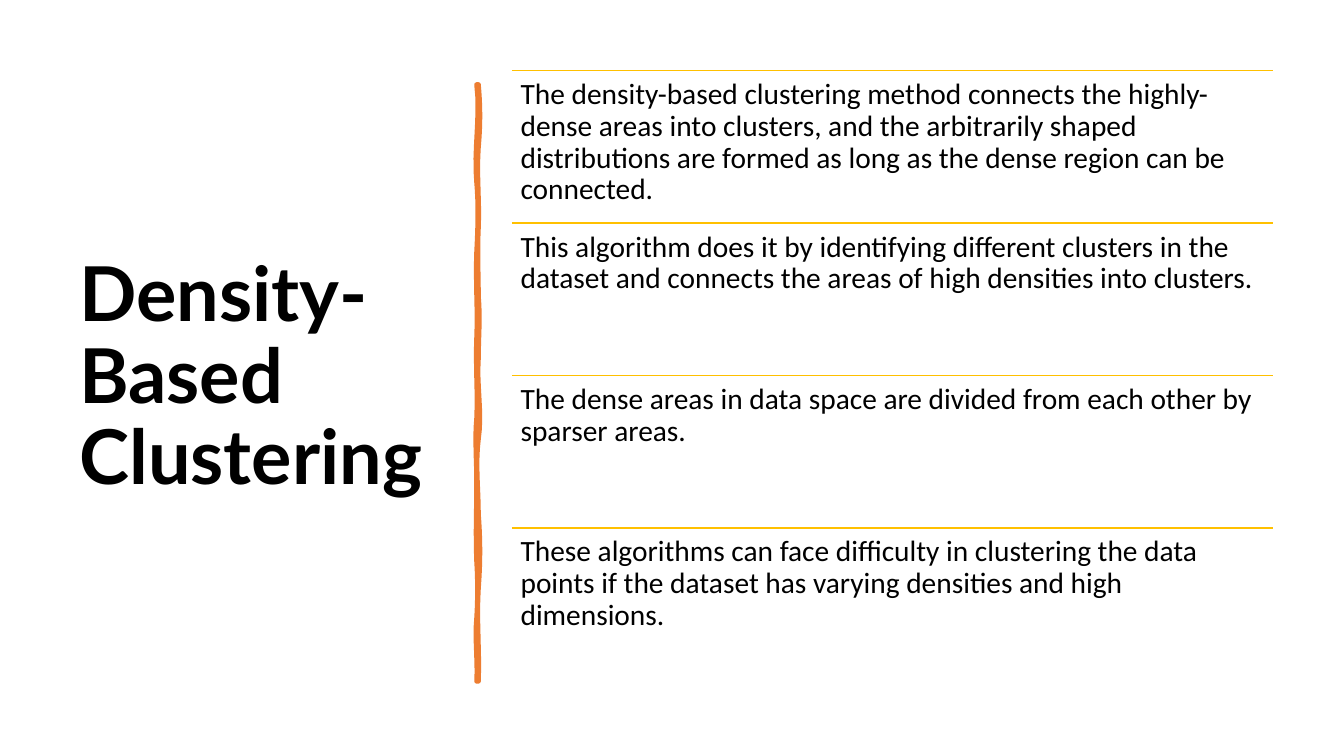
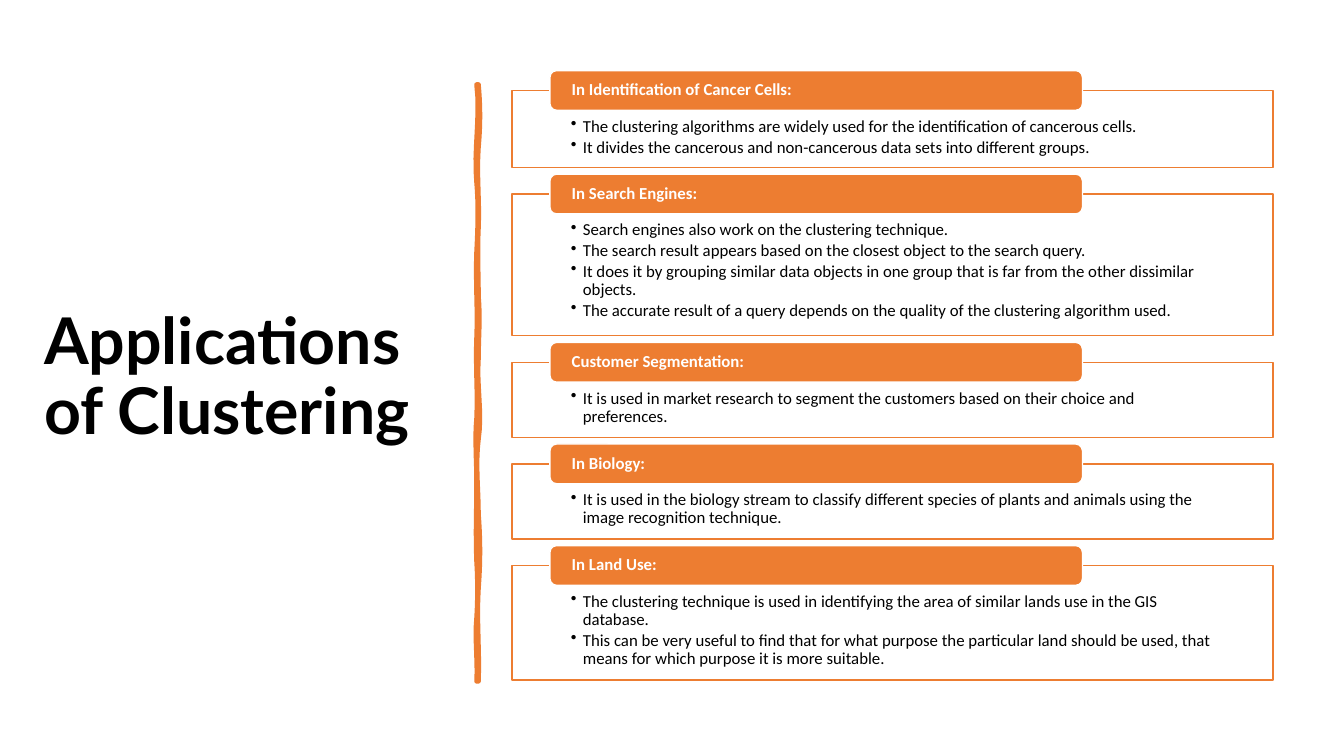
"""Build two slides on density-based clustering and the uses of clustering."""
import pptx
import pptx.dml.color
import pptx.enum.shapes
import pptx.enum.text
import pptx.oxml
import pptx.oxml.ns
import pptx.util
from lxml import etree

Cm, Pt = pptx.util.Cm, pptx.util.Pt
SHAPES = pptx.enum.shapes.MSO_SHAPE
ANCHORS = pptx.enum.text.MSO_ANCHOR

DENSITY_TITLE = "Density-Based Clustering"
DENSITY_POINTS = [
    "The density-based clustering method connects the highly-dense areas into clusters, and the "
    "arbitrarily shaped distributions are formed as long as the dense region can be connected.",
    "This algorithm does it by identifying different clusters in the dataset and connects the "
    "areas of high densities into clusters.",
    "The dense areas in data space are divided from each other by sparser areas.",
    "These algorithms can face difficulty in clustering the data points if the dataset has "
    "varying densities and high dimensions.",
]

USES_TITLE = "Applications of Clustering"
USES = [
    ("In Identification of Cancer Cells:", 1.94, [
        "The clustering algorithms are widely used for the identification of cancerous cells.",
        "It divides the cancerous and non-cancerous data sets into different groups.",
    ]),
    ("In Search Engines:", 3.57, [
        "Search engines also work on the clustering technique.",
        "The search result appears based on the closest object to the search query.",
        "It does it by grouping similar data objects in one group that is far from the other "
        "dissimilar objects.",
        "The accurate result of a query depends on the quality of the clustering algorithm used.",
    ]),
    ("Customer Segmentation:", 1.89, [
        "It is used in market research to segment the customers based on their choice and "
        "preferences.",
    ]),
    ("In Biology:", 1.89, [
        "It is used in the biology stream to classify different species of plants and animals "
        "using the image recognition technique.",
    ]),
    ("In Land Use:", 2.89, [
        "The clustering technique is used in identifying the area of similar lands use in the "
        "GIS database.",
        "This can be very useful to find that for what purpose the particular land should be "
        "used, that means for which purpose it is more suitable.",
    ]),
]

COLORS = {"text": "000000", "paper": "FFFFFF", "accent": "ED7D31", "rule": "FFC000"}
TITLE_FONT, BODY_FONT = "Lato", "Calibri"

TOP, HEIGHT = 1.78, 15.52
TITLE_RIGHT = 11.25
BODY_LEFT, BODY_WIDTH = 12.9, 19.18
ROW_HEIGHT = 3.84
CARD_TOP, CARD_GAP = 2.28, 0.67
TAB_INDENT, TAB_WIDTH, TAB_HEIGHT = 0.96, 13.42, 1.0
BULLET_INDENT = 0.3

BRUSH_TOP, BRUSH_BOTTOM = 2.13, 17.17
BRUSH_RIGHT, BRUSH_LEFT = 12.06, 12.01
RIGHT_WAVES = [(3.71, 0.05, 0.05), (5.74, -0.05, 0.03), (7.47, -0.03, 0), (9.04, 0.05, 0),
               (11.07, -0.05, 0.1), (12.95, -0.08, 0), (14.83, 0.05, 0.05),
               (BRUSH_BOTTOM, -0.05, 0.03)]
LEFT_WAVES = [(15.57, 0.03, -0.05), (14.15, 0.03, 0.03), (12.12, -0.03, 0), (10.54, 0, -0.05),
              (8.51, 0.03, -0.03), (6.35, 0.03, -0.03), (4.6, 0.03, 0.05),
              (BRUSH_TOP, -0.08, 0.1)]


def color(name):
    return pptx.dml.color.RGBColor.from_string(COLORS[name])


def write(shape, texts, size, font=BODY_FONT, ink="text", bold=False, after=0, bullet=False,
          anchor=ANCHORS.TOP, insets=(0.25, 0.13, 0.25, 0.13)):
    frame = shape.text_frame
    frame.word_wrap = True
    frame.vertical_anchor = anchor
    frame.margin_left, frame.margin_top, frame.margin_right, frame.margin_bottom = map(Cm, insets)
    for index, text in enumerate(texts):
        para = frame.add_paragraph() if index else frame.paragraphs[0]
        para.alignment = pptx.enum.text.PP_ALIGN.LEFT
        para.line_spacing = 0.9
        para.space_after = Pt(after)
        if bullet:
            properties = para._p.get_or_add_pPr()
            properties.set("marL", str(Cm(BULLET_INDENT)))
            properties.set("indent", str(-Cm(BULLET_INDENT)))
            etree.SubElement(properties, pptx.oxml.ns.qn("a:buChar")).set("char", "•")
        span = para.add_run()
        span.text = text
        span.font.name, span.font.size, span.font.bold = font, Pt(size), bold
        span.font.color.rgb = color(ink)


def paint(shape, fill, line, width):
    shape.shadow.inherit = False
    shape.fill.solid()
    shape.fill.fore_color.rgb = color(fill)
    shape.line.color.rgb = color(line)
    shape.line.width = Pt(width)


def add_block(page, kind, left, top, width, height, fill, line):
    shape = page.shapes.add_shape(kind, Cm(left), Cm(top), Cm(width), Cm(height))
    paint(shape, fill, line, 1)
    return shape


def add_box(page, left, top, width, height):
    return page.shapes.add_textbox(Cm(left), Cm(top), Cm(width), Cm(height))


def trace(edge, start, waves, steps=8):
    points = []
    for end, first, second in waves:
        for step in range(1, steps + 1):
            part = step / steps
            sway = 3 * part * (1 - part) * ((1 - part) * first + part * second)
            points.append((Cm(edge + sway), Cm(start + part * (end - start))))
        start = end
    return points


def add_brush(page):
    builder = page.shapes.build_freeform(Cm(BRUSH_RIGHT), Cm(BRUSH_TOP))
    builder.add_line_segments(trace(BRUSH_RIGHT, BRUSH_TOP, RIGHT_WAVES)
                              + [(Cm(BRUSH_LEFT), Cm(BRUSH_BOTTOM))]
                              + trace(BRUSH_LEFT, BRUSH_BOTTOM, LEFT_WAVES))
    brush = builder.convert_to_shape()
    paint(brush, "accent", "accent", 3.25)
    etree.SubElement(brush.line._get_or_add_ln(), pptx.oxml.ns.qn("a:round"))


def add_page(deck, title, left, size):
    page = deck.slides.add_slide(deck.slide_layouts[6])
    write(add_box(page, left, TOP, TITLE_RIGHT - left, HEIGHT), [title], size,
          font=TITLE_FONT, bold=True, anchor=ANCHORS.MIDDLE)
    add_brush(page)
    return page


def add_rule(page, top):
    rule = page.shapes.add_connector(pptx.enum.shapes.MSO_CONNECTOR.STRAIGHT, Cm(BODY_LEFT),
                                     Cm(top), Cm(BODY_LEFT + BODY_WIDTH), Cm(top))
    rule.line.color.rgb = color("rule")
    rule.line.width = Pt(1)
    etree.SubElement(rule._element.spPr, pptx.oxml.ns.qn("a:effectLst"))


def build_density(deck):
    page = add_page(deck, DENSITY_TITLE, left=1.75, size=54)
    for index, point in enumerate(DENSITY_POINTS):
        top = TOP + index * ROW_HEIGHT
        add_rule(page, top)
        write(add_box(page, BODY_LEFT, top, BODY_WIDTH, ROW_HEIGHT), [point], 21,
              insets=(0.22,) * 4)


def build_uses(deck):
    page = add_page(deck, USES_TITLE, left=0.86, size=46)
    top = CARD_TOP
    for heading, height, points in USES:
        card = add_block(page, SHAPES.RECTANGLE, BODY_LEFT, top, BODY_WIDTH, height,
                         "paper", "accent")
        write(card, points, 12, after=1.8, bullet=True, insets=(1.49, 0.69, 1.49, 0.22))
        tab = add_block(page, SHAPES.ROUNDED_RECTANGLE, BODY_LEFT + TAB_INDENT,
                        top - TAB_HEIGHT / 2, TAB_WIDTH, TAB_HEIGHT, "accent", "paper")
        write(tab, [heading], 12, ink="paper", bold=True, anchor=ANCHORS.MIDDLE,
              insets=(0.5, 0, 0.5, 0))
        top += height + CARD_GAP


def main():
    deck = pptx.Presentation()
    deck.slide_width, deck.slide_height = Cm(33.87), Cm(19.05)
    build_density(deck)
    build_uses(deck)
    deck.save("out.pptx")


if __name__ == "__main__":
    main()
